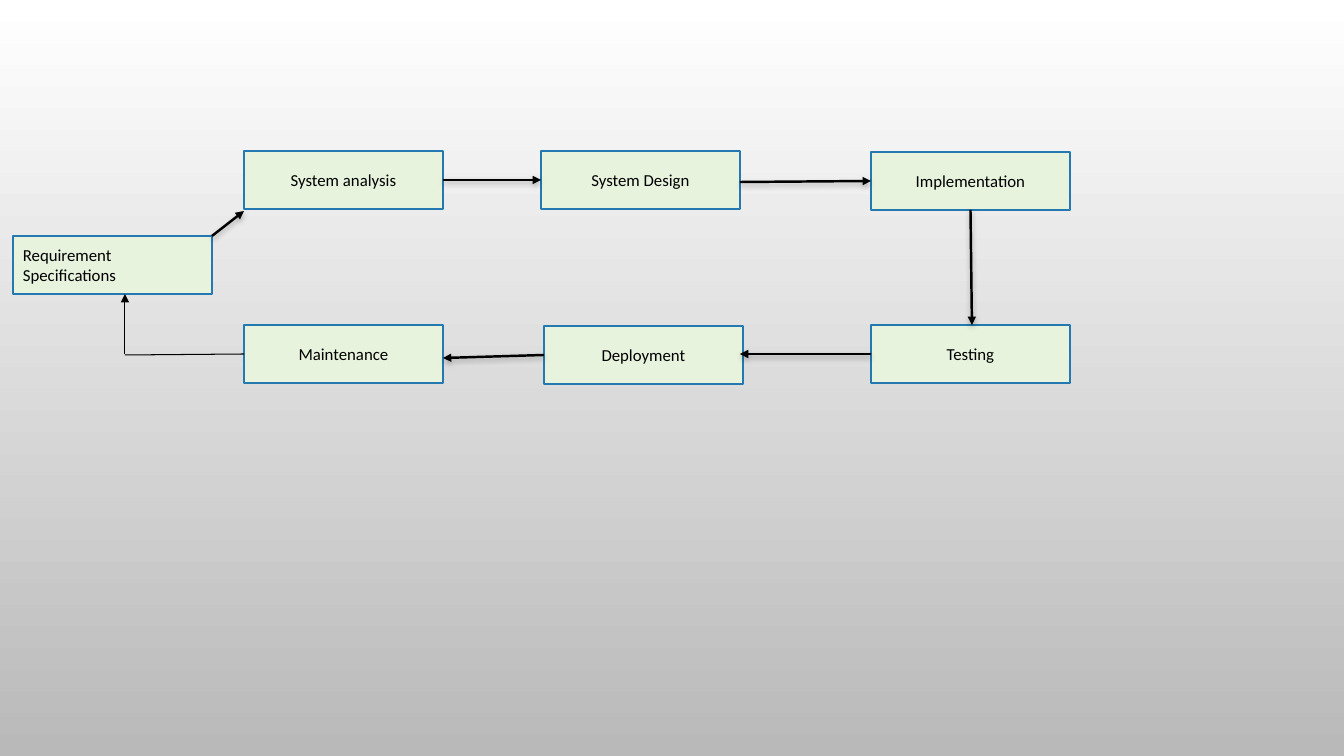
from dataclasses import dataclass

from lxml import etree
from pptx import Presentation
from pptx import util as u
from pptx.dml.color import RGBColor
from pptx.enum import shapes, text
from pptx.oxml import ns

PX = 914400 / 100.8
TOP, LEFT, BOTTOM, RIGHT = range(4)


@dataclass(frozen=True)
class Theme:
    font: str = "Calibri"
    size: float = 12
    ink: str = "000000"
    box_fill: str = "E7F3DD"
    box_line: str = "2379B0"
    box_weight: float = 1.25
    arrow_weight: float = 1.75
    thin_weight: float = 0.75
    sky: tuple = ("FFFFFF", "B9B9B9")


def px(*lengths):
    return [u.Emu(round(length * PX)) for length in lengths]


def rgb(value):
    return RGBColor.from_string(value)


def apply(target, values):
    for name, value in values.items():
        setattr(target, name, value)


class FlowSlide:
    def __init__(self, deck, theme):
        self.theme = theme
        self.page = deck.slides.add_slide(deck.slide_layouts[6])

    def background(self):
        fill = self.page.background.fill
        fill.gradient()
        fill.gradient_angle = 270
        for position, (stop, color) in enumerate(zip(fill.gradient_stops, self.theme.sky)):
            apply(stop, {"position": position})
            stop.color.rgb = rgb(color)

    def stroke(self, line, color, weight):
        line.color.rgb = rgb(color)
        line.width = u.Pt(weight)

    def box(self, lines, left, top, width=199, height=58):
        theme = self.theme
        box = self.page.shapes.add_shape(
            shapes.MSO_SHAPE.RECTANGLE, *px(left, top, width, height))
        box.shadow.inherit = False
        box.fill.solid()
        box.fill.fore_color.rgb = rgb(theme.box_fill)
        self.stroke(box.line, theme.box_line, theme.box_weight)
        frame = box.text_frame
        apply(frame, {"word_wrap": True, "vertical_anchor": text.MSO_ANCHOR.MIDDLE})
        align = text.PP_ALIGN.CENTER if len(lines) == 1 else text.PP_ALIGN.LEFT
        for index, wording in enumerate(lines):
            para = frame.add_paragraph() if index else frame.paragraphs[0]
            para.alignment = align
            span = para.add_run()
            span.text = wording
            apply(span.font, {"name": theme.font, "size": u.Pt(theme.size)})
            span.font.color.rgb = rgb(theme.ink)
        return box

    def line(self, start, end, begin=None, finish=None, thin=False, arrow=True):
        """Draw a line; begin and finish are optional (box, side) joints."""
        theme = self.theme
        link = self.page.shapes.add_connector(
            shapes.MSO_CONNECTOR.STRAIGHT, *px(*start, *end))
        if begin:
            link.begin_connect(*begin)
        if finish:
            link.end_connect(*finish)
        self.stroke(link.line, theme.ink, theme.thin_weight if thin else theme.arrow_weight)
        if arrow:
            outline = link.line._get_or_add_ln()
            etree.SubElement(outline, ns.qn("a:tailEnd"), type="triangle")
        effects = etree.SubElement(link._element.spPr, ns.qn("a:effectLst"))
        if not thin:
            shadow = etree.SubElement(
                effects, ns.qn("a:outerShdw"), blurRad=str(u.Pt(4)),
                dist=str(u.Pt(2)), dir="5400000", rotWithShape="0")
            color = etree.SubElement(shadow, ns.qn("a:srgbClr"), val=theme.ink)
            etree.SubElement(color, ns.qn("a:alpha"), val="28000")


def main():
    deck = Presentation()
    deck.slide_width, deck.slide_height = px(1344, 756)
    flow = FlowSlide(deck, Theme())
    flow.background()

    # Life-cycle stages
    analysis = flow.box(["System analysis"], 244, 151)
    maintenance = flow.box(["Maintenance"], 244, 325)
    testing = flow.box(["Testing"], 871, 325)
    deployment = flow.box(["Deployment"], 544, 326)
    flow.box(["Requirement", "Specifications"], 13, 236)
    implementation = flow.box(["Implementation"], 871, 152)
    design = flow.box(["System Design"], 541, 151)

    # Arrows between stages
    flow.line((212, 236), (244, 211))
    flow.line((443, 180), (541, 180), (analysis, RIGHT), (design, LEFT))
    flow.line((740, 182), (871, 181), finish=(implementation, LEFT))
    flow.line((970, 210), (972, 325), (implementation, BOTTOM))
    flow.line((871, 354), (740, 354), (testing, LEFT))
    flow.line((544, 355), (443, 358), (deployment, LEFT))

    # Return path to the requirements
    flow.line((244, 354), (125, 355), (maintenance, LEFT), thin=True, arrow=False)
    flow.line((125, 354), (125, 294), thin=True)

    deck.save("out.pptx")


if __name__ == "__main__":
    main()
